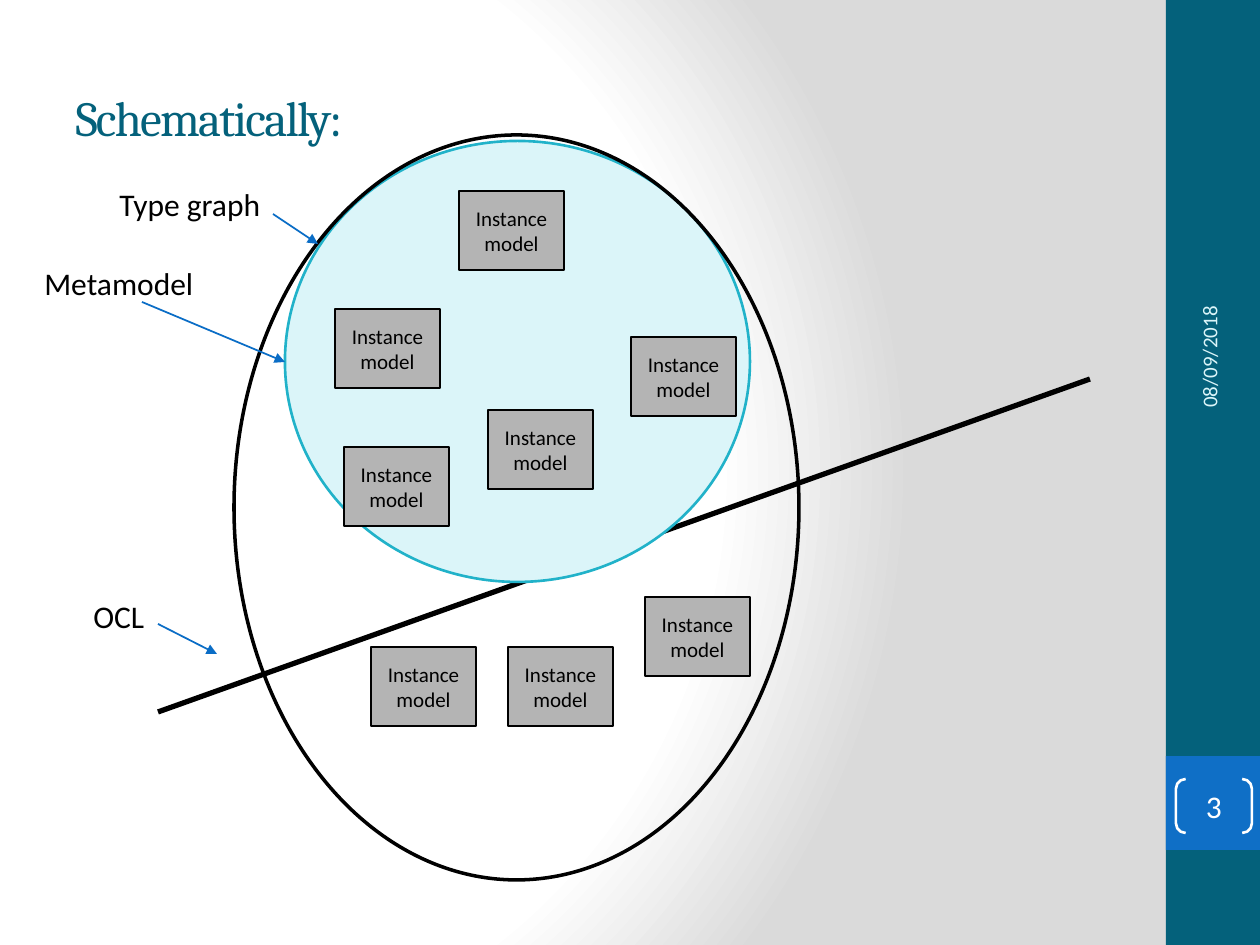
"""Builds the slide that relates type graph, metamodel, OCL and instance models."""
import pptx
import pptx.dml.color
import pptx.enum.shapes
import pptx.enum.text
import pptx.oxml
import pptx.oxml.ns
import pptx.util

SHAPE = pptx.enum.shapes.MSO_SHAPE
ALIGN = pptx.enum.text.PP_ALIGN
ANCHOR = pptx.enum.text.MSO_ANCHOR
PX = 914400 // 126

COLORS = {
    "teal": "04617B", "blue": "0F6FC6", "arrow": "0A6DC6", "black": "000000",
    "white": "FFFFFF", "pale": "DBF5F9", "cyan": "21B2C9", "gray": "B4B4B4",
    "shade": "DADADA",
}
TITLE = ("Schematically:", (63, 38, 1050, 158))
DATE = ("08/09/2018", (1041, 227, 336, 50))
NUMBER = ("3", (1176, 779, 76, 54))
BANDS = [((1166, 0, 94, 945), "teal"), ((1166, 756, 94, 94), "blue")]
METAMODEL = (285, 141, 465, 441)
TYPE_GRAPH = (234, 135, 565, 745)
OCL_LINE = (1090, 379, 158, 712)
LABELS = [
    ("Type graph", (107, 179, 218, 50), (273, 214, 318, 244)),
    ("Metamodel", (32, 258, 176, 50), (142, 302, 285, 362)),
    ("OCL", (81, 591, 77, 50), (158, 624, 217, 654)),
]
INSTANCE = "Instance\vmodel"
INSTANCE_SIZE = (105, 79)
INSTANCES = [(645, 597), (371, 647), (508, 647), (335, 309),
             (488, 410), (344, 447), (459, 191), (631, 337)]
BACKGROUND = """<a:gradFill %s rotWithShape="1"><a:gsLst>
<a:gs pos="0"><a:srgbClr val="{white}"/></a:gs>
<a:gs pos="75000"><a:srgbClr val="{white}"/></a:gs>
<a:gs pos="100000"><a:srgbClr val="{shade}"/></a:gs></a:gsLst>
<a:path path="circle"><a:fillToRect l="20000" t="50000" r="100000" b="50000"/></a:path>
</a:gradFill>""".format(**COLORS) % pptx.oxml.ns.nsdecls("a")


def rgb(name):
    return pptx.dml.color.RGBColor.from_string(COLORS[name])


def emu(lengths):
    return [n * PX for n in lengths]


def write(sp, text, size, color, align=ALIGN.LEFT, anchor=ANCHOR.MIDDLE, font="Calibri"):
    tf = sp.text_frame
    tf.text = text
    tf.vertical_anchor = anchor
    p = tf.paragraphs[0]
    p.alignment = align
    for r in p.runs:
        r.font.name = font
        r.font.size = pptx.util.Pt(size)
        r.font.color.rgb = rgb(color)
    return tf


def add_shape(s, kind, box, fill=None, line=None, width=1):
    sp = s.shapes.add_shape(kind, *emu(box))
    sp.shadow.inherit = False
    if fill:
        sp.fill.solid()
        sp.fill.fore_color.rgb = rgb(fill)
    else:
        sp.fill.background()
    if line:
        sp.line.color.rgb = rgb(line)
        sp.line.width = pptx.util.Pt(width)
    else:
        sp.line.fill.background()
    return sp


def add_line(s, ends, color, width, arrow=False):
    cn = s.shapes.add_connector(pptx.enum.shapes.MSO_CONNECTOR.STRAIGHT, *emu(ends))
    cn.line.color.rgb = rgb(color)
    cn.line.width = pptx.util.Pt(width)
    if arrow:
        ln = cn.line._get_or_add_ln()
        pptx.oxml.ns.qn("a:tailEnd")
        ln.append(pptx.oxml.parse_xml(
            '<a:tailEnd %s type="triangle"/>' % pptx.oxml.ns.nsdecls("a")))
    cn._element.spPr.append(pptx.oxml.parse_xml(
        "<a:effectLst %s/>" % pptx.oxml.ns.nsdecls("a")))


def add_text(s, text, box, size, color, anchor, wrap=True):
    sp = s.shapes.add_textbox(*emu(box))
    write(sp, text, size, color, anchor=anchor).word_wrap = wrap
    return sp


def main():
    prs = pptx.Presentation()
    prs.slide_width, prs.slide_height = emu((1260, 945))
    s = prs.slides.add_slide(prs.slide_layouts[5])

    s.background.fill.solid()
    bg = s.element.find(".//" + pptx.oxml.ns.qn("p:bgPr"))
    bg.replace(bg[0], pptx.oxml.parse_xml(BACKGROUND))

    text, box = TITLE
    title = s.shapes.title
    title.left, title.top, title.width, title.height = emu(box)
    tf = write(title, text, 28, "teal", font="Cambria")
    tf.paragraphs[0].runs[0].font._element.set("spc", "-100")

    for box, fill in BANDS:
        add_shape(s, SHAPE.RECTANGLE, box, fill)
    add_line(s, OCL_LINE, "black", 3)
    add_shape(s, SHAPE.OVAL, METAMODEL, "pale", "cyan", 1.5)
    add_shape(s, SHAPE.OVAL, TYPE_GRAPH, None, "black", 2)

    add_text(s, *DATE, 12, "pale", ANCHOR.MIDDLE).rotation = 270
    text, box = NUMBER
    sp = add_shape(s, SHAPE.DOUBLE_BRACKET, box, None, "white", 1.5)
    sp.adjustments[0] = 0.18
    tf = write(sp, text, 18, "white", ALIGN.CENTER)
    tf.margin_left = tf.margin_right = tf.margin_top = tf.margin_bottom = 0

    for left, top in INSTANCES:
        sp = add_shape(s, SHAPE.RECTANGLE, (left, top, *INSTANCE_SIZE), "gray", "black")
        write(sp, INSTANCE, 12, "black", ALIGN.CENTER)
    for text, box, ends in LABELS:
        add_text(s, text, box, 18, "black", ANCHOR.TOP, wrap=False)
        add_line(s, ends, "arrow", 1, arrow=True)

    prs.save("out.pptx")


if __name__ == "__main__":
    main()
